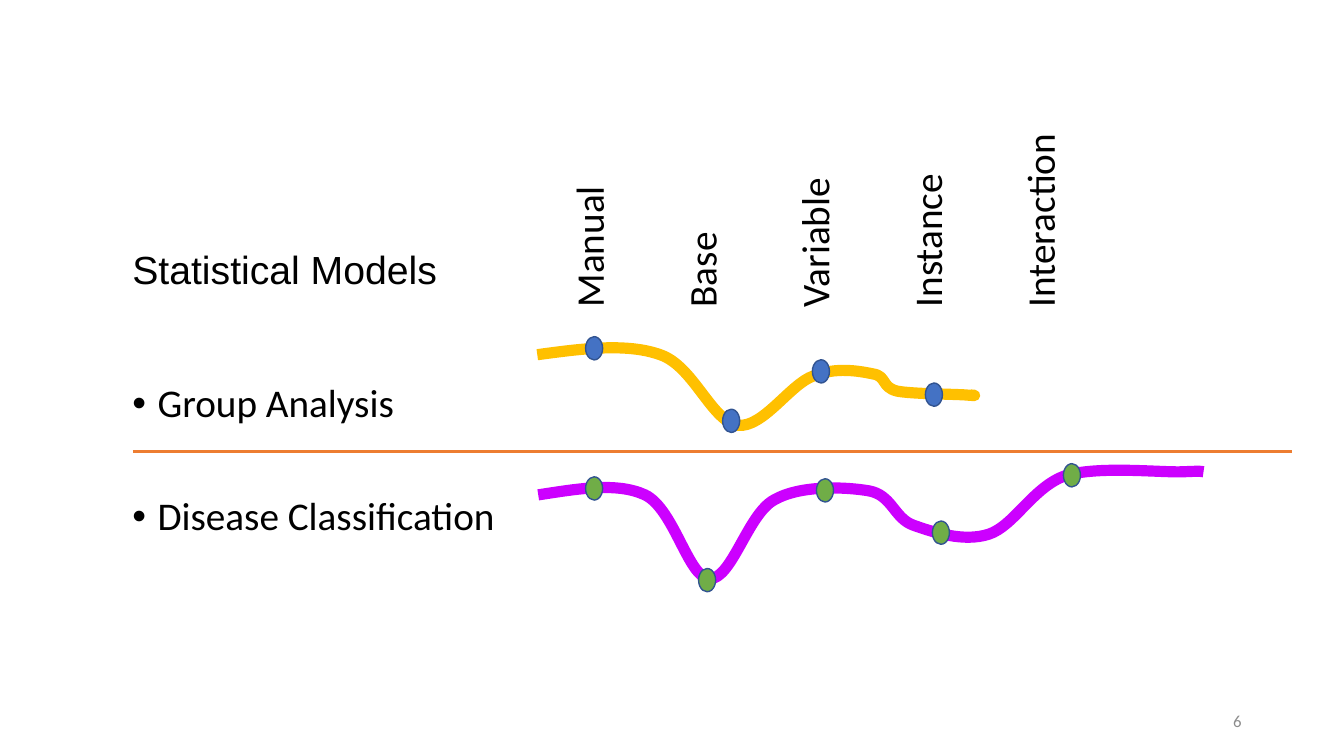
"""Build a slide that profiles two research tasks across kinds of statistical models."""
from dataclasses import dataclass

import lxml.etree
import pptx
import pptx.dml.color
import pptx.enum.shapes
import pptx.enum.text
import pptx.oxml.ns
import pptx.util

Pt = pptx.util.Pt
RGB = pptx.dml.color.RGBColor.from_string
qn = pptx.oxml.ns.qn


@dataclass(frozen=True)
class Theme:
    ink: str = "000000"
    muted: str = "8C8C8C"
    divider: str = "ED7D31"
    group_curve: str = "FFC000"
    group_dot: str = "4472C4"
    disease_curve: str = "CC00FF"
    disease_dot: str = "70AD47"
    dot_edge: str = "325491"
    heading_font: str = "Arial"
    body_font: str = "Calibri"
    body_size: int = 28
    number_size: int = 12


theme = Theme()
ROW_GAP = 50.3
DOT_WIDTH, DOT_HEIGHT = 12.2, 16.6


def add_text(left, top, width, height, lines, font=theme.body_font,
             size=theme.body_size, color=theme.ink, spacing=0.9, wrap=True):
    box = slide.shapes.add_textbox(Pt(left), Pt(top), Pt(width), Pt(height))
    box.text_frame.word_wrap = wrap
    box.text_frame.text = "\n".join(lines)
    for index, paragraph in enumerate(box.text_frame.paragraphs):
        paragraph.font.name = font
        paragraph.font.size = Pt(size)
        paragraph.font.color.rgb = RGB(color)
        paragraph.line_spacing = spacing
        paragraph.space_before = Pt(ROW_GAP if index else 0)
    return box


def add_curve(frame, start, segments):
    left, top, width, height = frame
    outline = slide.shapes.build_freeform(Pt(start[0]), Pt(start[1]))
    outline.add_line_segments([(Pt(s[4]), Pt(s[5])) for s in segments], close=False)
    curve = outline.convert_to_shape()
    curve.left, curve.top = Pt(left), Pt(top)
    curve.width, curve.height = Pt(width), Pt(height)
    route = curve._element.spPr.find(".//" + qn("a:path"))
    route.set("w", str(Pt(width)))
    route.set("h", str(Pt(height)))
    for step in list(route):
        route.remove(step)
    for kind, coordinates in [("a:moveTo", start)] + [("a:cubicBezTo", s) for s in segments]:
        step = lxml.etree.SubElement(route, qn(kind))
        for x, y in zip(coordinates[::2], coordinates[1::2]):
            point = lxml.etree.SubElement(step, qn("a:pt"))
            point.set("x", str(Pt(x - left)))
            point.set("y", str(Pt(y - top)))
    return curve


presentation = pptx.Presentation()
presentation.slide_width, presentation.slide_height = Pt(960), Pt(540)
slide = presentation.slides.add_slide(presentation.slide_layouts[6])

tasks = add_text(87.5, 226.8, 301.7, 159.1, ["Group Analysis", "Disease Classification"])
tasks.text_frame.margin_top = Pt(47.5)
for task in tasks.text_frame.paragraphs:
    properties = task._p.get_or_add_pPr()
    properties.set("marL", str(Pt(18)))
    properties.set("indent", str(Pt(-18)))
    lxml.etree.SubElement(properties, qn("a:buFont")).set("typeface", theme.heading_font)
    lxml.etree.SubElement(properties, qn("a:buChar")).set("char", "•")
    for default_font in properties.findall(qn("a:defRPr")):
        properties.append(default_font)

page_number = add_text(678, 500.5, 216, 28.8, ["6"], size=theme.number_size,
                       color=theme.muted, spacing=1.0)
page_number.text_frame.vertical_anchor = pptx.enum.text.MSO_ANCHOR.MIDDLE
page_number.text_frame.paragraphs[0].alignment = pptx.enum.text.PP_ALIGN.RIGHT

model_names = add_text(521.6, -78, 186.5, 422.6,
                       ["Manual", "Base", "Variable", "Instance", "Interaction"])
model_names.rotation = 270

divider = slide.shapes.add_connector(
    pptx.enum.shapes.MSO_CONNECTOR.STRAIGHT, Pt(95), Pt(322.6), Pt(923), Pt(322.6))
divider.line.color.rgb = RGB(theme.divider)
divider.line.width = Pt(2)
lxml.etree.SubElement(divider._element.spPr, qn("a:effectLst"))

profiles = [
    (theme.group_curve, theme.group_dot, (383.8, 248.4, 312.5, 55.4), (383.8, 253.4), [
        (415.4, 249.1, 447.8, 244.8, 471.6, 253.4),
        (495.4, 261.4, 508.3, 301, 527, 303.8),
        (545, 306, 564.5, 274.3, 581, 268.6),
        (596.9, 262.1, 613.4, 265, 623.5, 267.1),
        (633.6, 268.6, 629.3, 276.5, 640.8, 279.4),
        (651.6, 281.5, 681.8, 281.5, 690.5, 282.2),
        (699.1, 283, 696.2, 282.2, 693.4, 282.2),
    ], [(418.3, 240.5), (516.2, 292.3), (580.3, 257), (661, 273.6)]),
    (theme.disease_curve, theme.disease_dot, (384.5, 336.2, 475.2, 77.8), (384.5, 353.5), [
        (412.6, 349.2, 440.6, 344.2, 460.8, 353.5),
        (481.7, 363.6, 491.8, 413.3, 506.9, 413.3),
        (522.7, 414, 534.2, 367.2, 553, 357.1),
        (571.7, 346.3, 604.1, 347.8, 620.6, 350.6),
        (637.2, 353.5, 638.6, 370.1, 652.3, 375.1),
        (666.7, 380.2, 688.3, 387.4, 706.3, 381.6),
        (724.3, 375.8, 738, 347.8, 761, 339.8),
        (784.8, 332.6, 829.4, 337.7, 845.3, 337),
        (861.8, 336.2, 856.8, 337, 859.7, 337),
    ], [(418.3, 340.6), (499, 406.1), (583.2, 342), (666, 372.2), (759.6, 331.2)]),
]
for curve_color, dot_color, frame, start, segments, dots in profiles:
    curve = add_curve(frame, start, segments)
    curve.shadow.inherit = False
    curve.fill.background()
    curve.line.color.rgb = RGB(curve_color)
    curve.line.width = Pt(8)

for curve_color, dot_color, frame, start, segments, dots in profiles:
    for left, top in dots:
        dot = slide.shapes.add_shape(pptx.enum.shapes.MSO_SHAPE.OVAL, Pt(left), Pt(top),
                                     Pt(DOT_WIDTH), Pt(DOT_HEIGHT))
        dot.shadow.inherit = False
        dot.fill.solid()
        dot.fill.fore_color.rgb = RGB(dot_color)
        dot.line.color.rgb = RGB(theme.dot_edge)
        dot.line.width = Pt(1)

add_text(87.5, 171.4, 234.7, 41, ["Statistical Models"], font=theme.heading_font,
         spacing=1.0, wrap=False)

presentation.save("out.pptx")
